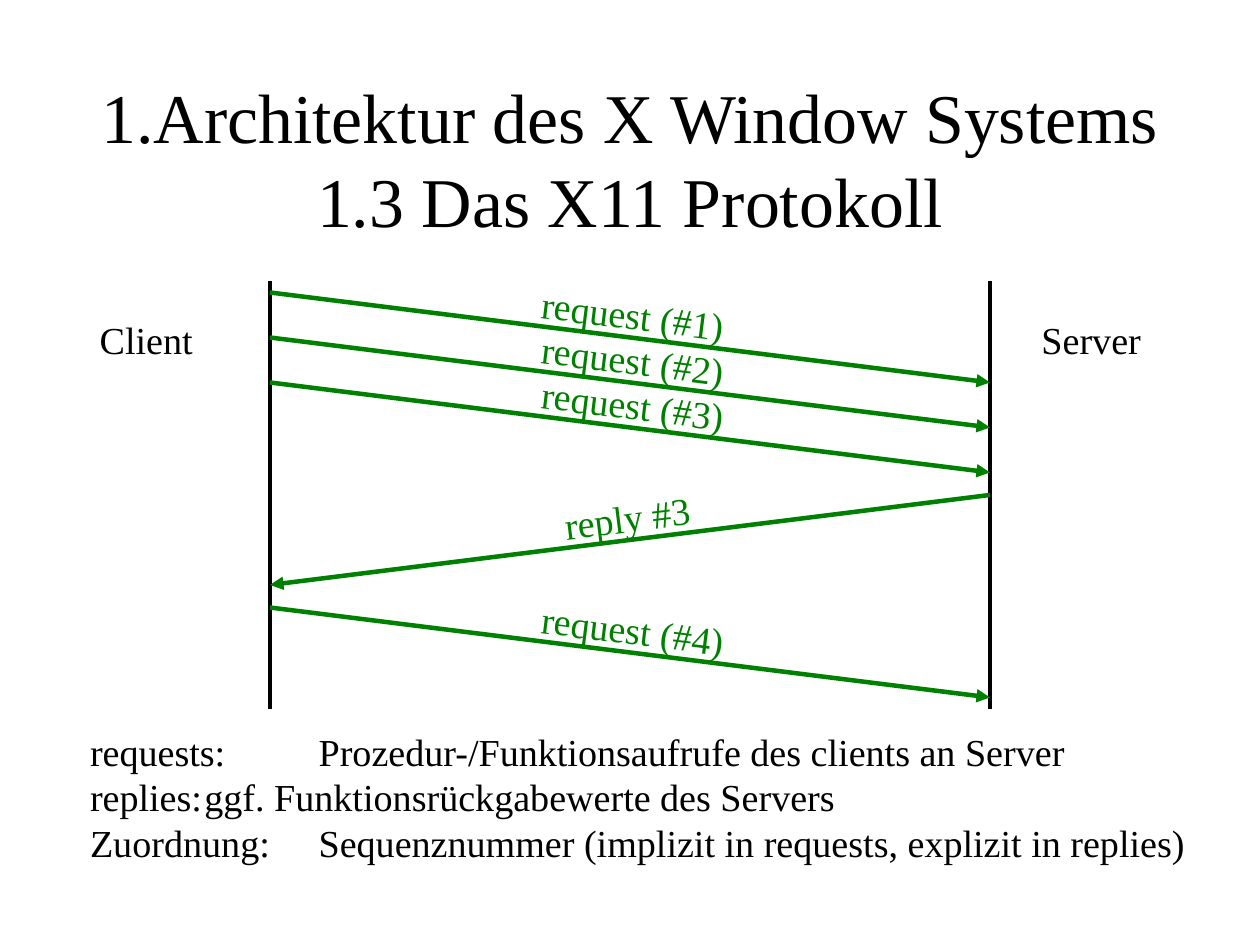
"""Build a slide on the X11 protocol with a client-server sequence diagram."""
import math
from dataclasses import dataclass

from lxml import etree
from pptx import Presentation
from pptx.dml.color import RGBColor
from pptx.enum.shapes import MSO_CONNECTOR
from pptx.enum.text import MSO_ANCHOR, PP_ALIGN
from pptx.oxml.ns import qn
from pptx.util import Pt

STRAIGHT = MSO_CONNECTOR.STRAIGHT
TOP, MIDDLE = MSO_ANCHOR.TOP, MSO_ANCHOR.MIDDLE
LEFT, CENTER = PP_ALIGN.LEFT, PP_ALIGN.CENTER

FONT = "Times New Roman"
BLACK, GREEN = "000000", "008000"
LINE_WIDTH = 2.83
LABEL_WIDTH, LABEL_HEIGHT = 200, 29
CLIENT_X, SERVER_X = 170.08, 623.62
LIFELINE_TOP, LIFELINE_BOTTOM = 177.17, 446.46
DROP = 56.69
TAB_STOPS = (72, 144)


@dataclass
class Message:
    label: str
    y: float
    is_reply: bool = False


MESSAGES = [
    Message("request (#1)", 184.25),
    Message("request (#2)", 212.6),
    Message("request (#3)", 240.94),
    Message("reply #3", 311.81, is_reply=True),
    Message("request (#4)", 382.68),
]

DEFINITIONS = """requests:\tProzedur-/Funktionsaufrufe des clients an Server
replies:\tggf. Funktionsrückgabewerte des Servers
Zuordnung:\tSequenznummer (implizit in requests, explizit in replies)"""


def rgb(color: str) -> RGBColor:
    """Turn a hex string into a colour."""
    return RGBColor.from_string(color)


def add_text(s, text: str, x: float, y: float, w: float, h: float, *,
             size: float = 24, color: str = BLACK, align=CENTER, anchor=MIDDLE,
             rotation: float = 0, tabs: tuple = ()) -> None:
    """Add a text box, one paragraph per line of text."""
    sp = s.shapes.add_textbox(Pt(x), Pt(y), Pt(w), Pt(h))
    sp.rotation = rotation
    tf = sp.text_frame
    tf.word_wrap = True
    tf.vertical_anchor = anchor
    tf.margin_left = tf.margin_right = tf.margin_top = tf.margin_bottom = 0
    tf.text = text
    for p in tf.paragraphs:
        p.alignment = align
        for r in p.runs:
            r.font.name = FONT
            r.font.size = Pt(size)
            r.font.color.rgb = rgb(color)
        if tabs:
            tab_list = etree.SubElement(p._p.get_or_add_pPr(), qn("a:tabLst"))
            for pos in tabs:
                etree.SubElement(tab_list, qn("a:tab"), pos=str(Pt(pos)), algn="l")


def add_line(s, x1: float, y1: float, x2: float, y2: float, *,
             color: str = BLACK, arrow: bool = False) -> None:
    """Add a straight line, with an arrowhead at its end on request."""
    cn = s.shapes.add_connector(STRAIGHT, Pt(x1), Pt(y1), Pt(x2), Pt(y2))
    cn.line.width = Pt(LINE_WIDTH)
    cn.line.color.rgb = rgb(color)
    if arrow:
        etree.SubElement(cn.line._get_or_add_ln(), qn("a:tailEnd"), type="triangle")
    etree.SubElement(cn._element.spPr, qn("a:effectLst"))


def add_message(s, m: Message) -> None:
    """Add a message arrow with its label set along and above it."""
    x1, x2 = (SERVER_X, CLIENT_X) if m.is_reply else (CLIENT_X, SERVER_X)
    add_line(s, x1, m.y, x2, m.y + DROP, color=GREEN, arrow=True)
    angle = math.atan(DROP / (x2 - x1))
    cx = (x1 + x2) / 2 + LABEL_HEIGHT / 2 * math.sin(angle)
    cy = m.y + DROP / 2 - LABEL_HEIGHT / 2 * math.cos(angle)
    add_text(s, m.label, cx - LABEL_WIDTH / 2, cy - LABEL_HEIGHT / 2,
             LABEL_WIDTH, LABEL_HEIGHT, color=GREEN, rotation=math.degrees(angle))


def main() -> None:
    """Build and save the slide."""
    prs = Presentation()
    prs.slide_width, prs.slide_height = Pt(793.7), Pt(595.28)
    s = prs.slides.add_slide(prs.slide_layouts[6])

    add_text(s, "1.Architektur des X Window Systems\v1.3 Das X11 Protokoll",
             58.32, 49.68, 677.52, 99.36, size=44)
    for name, label_x, x in (("Client", 49.61, CLIENT_X), ("Server", 644.88, SERVER_X)):
        add_line(s, x, LIFELINE_TOP, x, LIFELINE_BOTTOM)
        add_text(s, name, label_x, 200.16, 85.04, 26.64)
    for m in MESSAGES:
        add_message(s, m)
    add_text(s, DEFINITIONS, 56.69, 458.64, 694.8, 79.92,
             align=LEFT, anchor=TOP, tabs=TAB_STOPS)

    prs.save("out.pptx")


if __name__ == "__main__":
    main()
